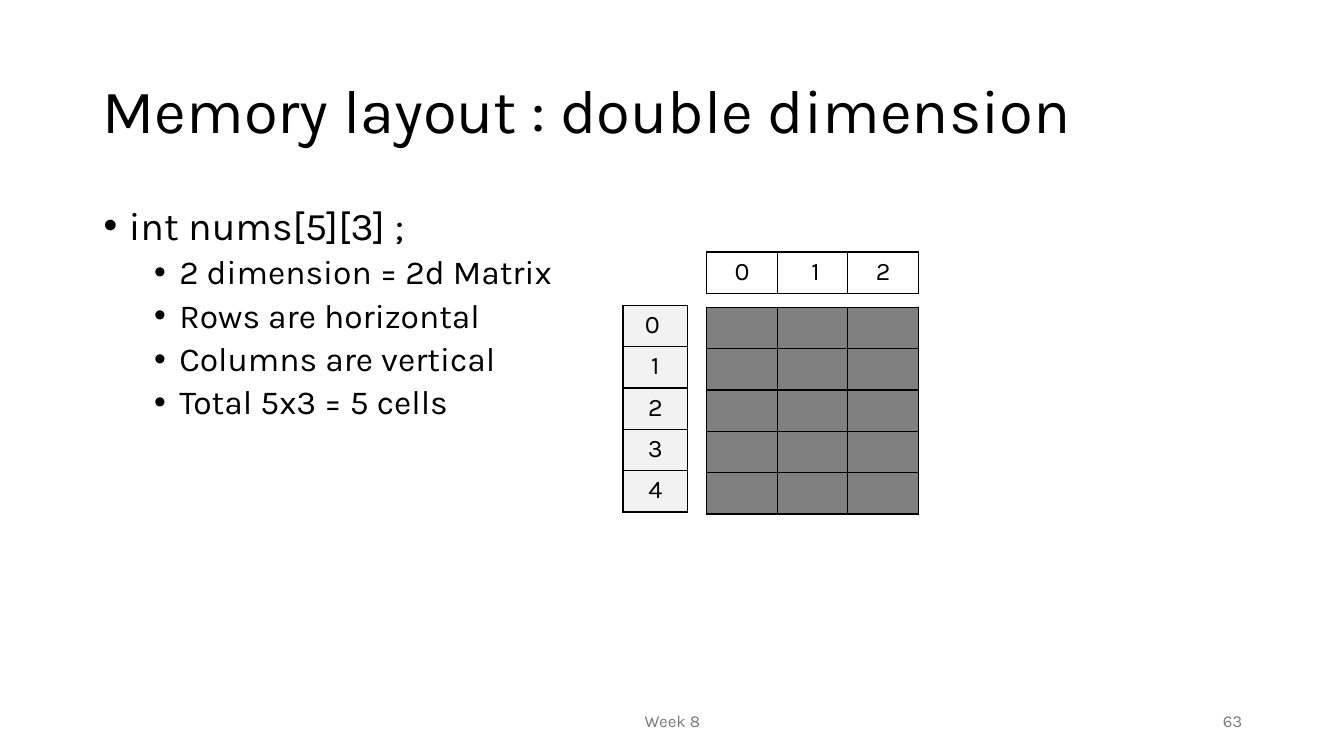
"""Build the slide on the memory layout of a two-dimensional array."""
from dataclasses import dataclass

from lxml import etree
from pptx import Presentation
from pptx.dml.color import RGBColor
from pptx.enum.text import MSO_ANCHOR, PP_ALIGN
from pptx.oxml.ns import qn
from pptx.util import Inches, Pt

LEFT, MID, RIGHT = PP_ALIGN.LEFT, PP_ALIGN.CENTER, PP_ALIGN.RIGHT
TOP, CENTER = MSO_ANCHOR.TOP, MSO_ANCHOR.MIDDLE


@dataclass(frozen=True)
class Theme:
    font: str = "Karla"
    ink: str = "000000"
    muted: str = "797979"
    dark: str = "808080"
    pale: str = "F2F2F2"
    title: int = 44
    head: int = 28
    item: int = 24
    cell: int = 18
    foot: int = 12


THEME = Theme()
TITLE = "Memory layout : double dimension"
POINTS = [
    (0, "int nums[5][3] ;"),
    (1, "2 dimension = 2d Matrix"),
    (1, "Rows are horizontal"),
    (1, "Columns are vertical"),
    (1, "Total 5x3 = 5 cells"),
]
LEVELS = [(THEME.head, 0.25, 10), (THEME.item, 0.75, 5)]
HANG = 0.25
ROWS = ["0 ", "1", "2", "3", "4"]
COLS = ["0", " 1", "2"]
WIDE, HIGH = 0.7, 0.41
GRIDS = [
    (7.01, 3.05, WIDE, [[""] * len(COLS) for _ in ROWS], THEME.dark),
    (6.18, 3.03, 0.64, [[name] for name in ROWS], THEME.pale),
    (7.01, 2.5, WIDE, [COLS], None),
]
FOOTERS = [
    (4.42, 4.5, MID, "Week 8"),
    (9.42, 3, RIGHT, "63"),
]


def add_run(para, text, size, color=THEME.ink):
    run = para.add_run()
    run.text = text
    run.font.name = THEME.font
    run.font.size = Pt(size)
    run.font.color.rgb = RGBColor.from_string(color)


def add_box(slide, place, anchor=TOP, align=LEFT):
    frame = slide.shapes.add_textbox(*map(Inches, place)).text_frame
    frame.word_wrap = True
    frame.vertical_anchor = anchor
    frame.paragraphs[0].alignment = align
    return frame


def add_points(frame):
    for i, (level, text) in enumerate(POINTS):
        size, margin, gap = LEVELS[level]
        para = frame.add_paragraph() if i else frame.paragraphs[0]
        para.level = level
        props = para._p.get_or_add_pPr()
        props.set("marL", str(Inches(margin)))
        props.set("indent", str(-Inches(HANG)))
        etree.SubElement(props, qn("a:buFont")).set("typeface", "Arial")
        etree.SubElement(props, qn("a:buChar")).set("char", "•")
        para.line_spacing = 0.9
        para.space_before = Pt(gap if i else 0)
        add_run(para, text, size)


def add_edges(cell):
    props = cell._tc.get_or_add_tcPr()
    for i, side in enumerate(("lnL", "lnR", "lnT", "lnB")):
        line = etree.Element(qn("a:" + side), w=str(Pt(1)))
        fill = etree.SubElement(line, qn("a:solidFill"))
        etree.SubElement(fill, qn("a:srgbClr")).set("val", THEME.ink)
        props.insert(i, line)


def add_grid(slide, left, top, wide, values, color):
    rows, cols = len(values), len(values[0])
    place = map(Inches, (left, top, wide * cols, HIGH * rows))
    table = slide.shapes.add_table(rows, cols, *place).table
    table.first_row = table.horz_banding = False
    for r, row in enumerate(values):
        for c, text in enumerate(row):
            cell = table.cell(r, c)
            if color:
                cell.fill.solid()
                cell.fill.fore_color.rgb = RGBColor.from_string(color)
            else:
                cell.fill.background()
            add_edges(cell)
            if text:
                para = cell.text_frame.paragraphs[0]
                para.alignment = MID
                add_run(para, text, THEME.cell)


def main():
    deck = Presentation()
    deck.slide_width, deck.slide_height = Inches(13.33), Inches(7.5)
    slide = deck.slides.add_slide(deck.slide_layouts[6])
    title = add_box(slide, (0.92, 0.4, 11.5, 1.45), CENTER).paragraphs[0]
    title.line_spacing = 0.9
    add_run(title, TITLE, THEME.title)
    add_points(add_box(slide, (0.93, 2, 11.5, 4.76)))
    for grid in GRIDS:
        add_grid(slide, *grid)
    for left, wide, align, text in FOOTERS:
        frame = add_box(slide, (left, 6.95, wide, 0.4), CENTER, align)
        add_run(frame.paragraphs[0], text, THEME.foot, THEME.muted)
    deck.save("out.pptx")


if __name__ == "__main__":
    main()
